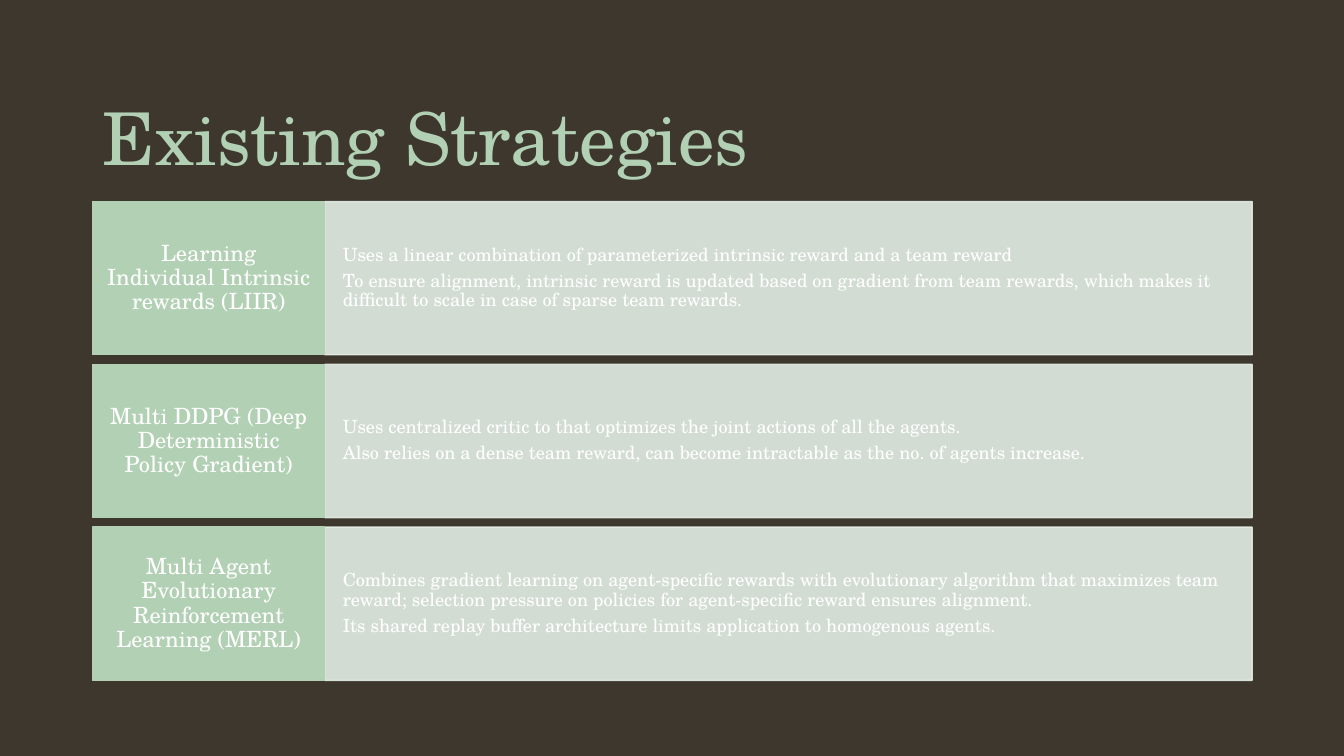
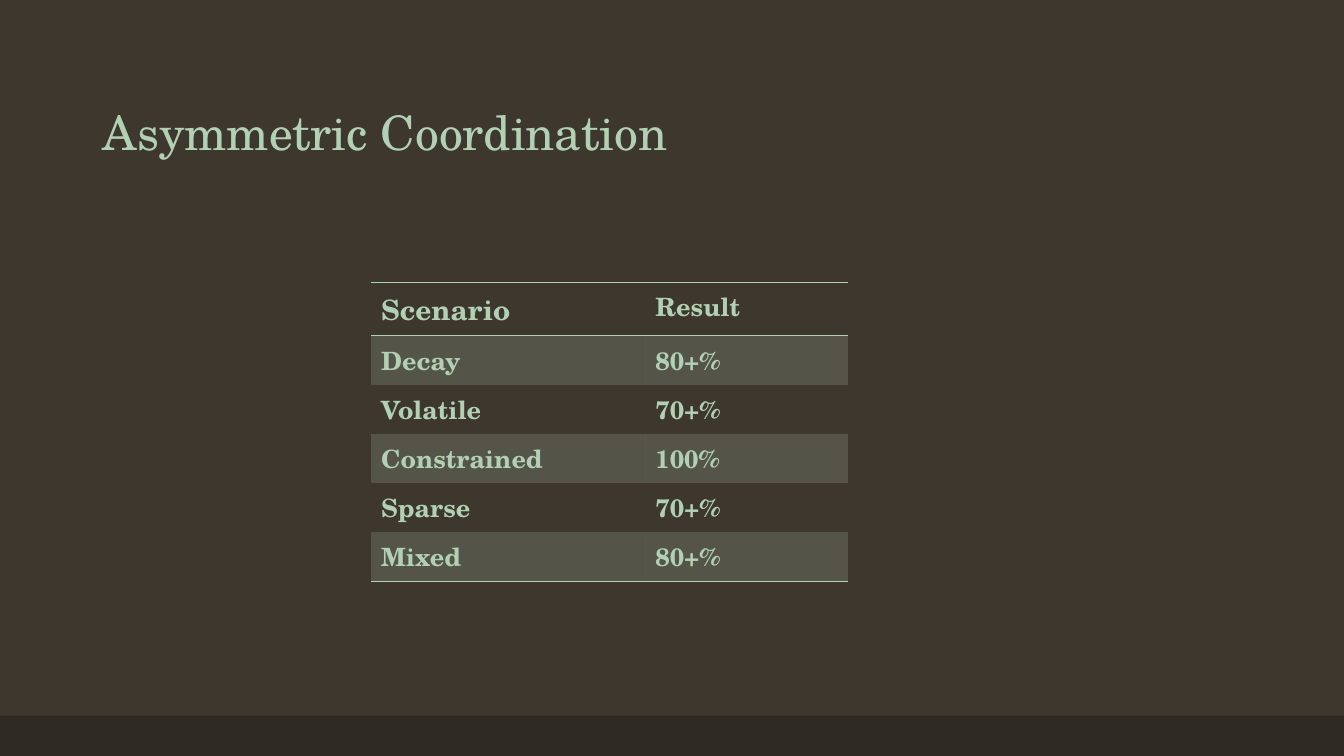
"""Build two slides on multi-agent strategies and coordination results."""
from dataclasses import dataclass

import pptx
import pptx.dml.color
import pptx.enum.shapes
import pptx.enum.text
import pptx.oxml
import pptx.oxml.ns
import pptx.slide
import pptx.util
from lxml import etree
from pptx.util import Inches

FONT = "TeX Gyre Schola"
COLORS = {
    "background": "3D372E",
    "band": "2E2923",
    "accent": "B2D0B4",
    "panel": "E4EEE5",
    "text": "FFFFFF",
}
LEFT = 0.92
ROW_TOP, ROW_PITCH, ROW_HEIGHT = 2.0, 1.615, 1.52
LABEL_WIDTH, PANEL_WIDTH = 2.3, 9.2
PLAIN_TABLE_STYLE = "{2D5ABB26-0587-4C30-8999-92F81FD0307C}"
ALIGN = pptx.enum.text.PP_ALIGN
ANCHOR = pptx.enum.text.MSO_ANCHOR


@dataclass(frozen=True)
class Strategy:
    name: str
    points: tuple[str, ...]


@dataclass(frozen=True)
class Result:
    scenario: str
    rate: str


@dataclass(frozen=True)
class BlockStyle:
    fill: str
    size: float
    align: ALIGN
    side_inset: float
    end_inset: float
    opacity: int = 100


LABEL = BlockStyle("accent", 16, ALIGN.CENTER, 0.12, 0.15)
PANEL = BlockStyle("panel", 13, ALIGN.LEFT, 0.18, 0.39, 90)

STRATEGIES = (
    Strategy("Learning Individual Intrinsic rewards (LIIR)", (
        "Uses a linear combination of parameterized intrinsic reward and a team reward",
        "To ensure alignment, intrinsic reward is updated based on gradient from team "
        "rewards, which makes it difficult to scale in case of sparse team rewards.",
    )),
    Strategy("Multi DDPG (Deep Deterministic Policy Gradient)", (
        "Uses centralized critic to that optimizes the joint actions of all the agents.",
        "Also relies on a dense team reward, can become intractable as the no. of agents "
        "increase.",
    )),
    Strategy("Multi Agent Evolutionary Reinforcement Learning (MERL)", (
        "Combines gradient learning on agent-specific rewards with evolutionary algorithm "
        "that maximizes team reward; selection pressure on policies for agent-specific "
        "reward ensures alignment.",
        "Its shared replay buffer architecture limits application to homogenous agents.",
    )),
)
RESULTS = (
    Result("Scenario", "Result"),
    Result("Decay", "80+%"),
    Result("Volatile", "70+%"),
    Result("Constrained", "100%"),
    Result("Sparse", "70+%"),
    Result("Mixed", "80+%"),
)


def color(name: str) -> pptx.dml.color.RGBColor:
    return pptx.dml.color.RGBColor.from_string(COLORS[name])


def format_runs(para, size: float, name: str, bold: bool = False) -> None:
    for span in para.runs:
        span.font.name = FONT
        span.font.size = pptx.util.Pt(size)
        span.font.bold = bold
        span.font.color.rgb = color(name)


def set_opacity(element, percent: int) -> None:
    for node in element.iter(pptx.oxml.ns.qn("a:srgbClr")):
        alpha = etree.SubElement(node, pptx.oxml.ns.qn("a:alpha"))
        alpha.set("val", str(percent * 1000))


def add_page(deck, title: str, top: float, size: float) -> pptx.slide.Slide:
    page = deck.slides.add_slide(deck.slide_layouts.get_by_name("Title Only"))
    box = page.shapes.title
    box.left, box.top = Inches(LEFT), Inches(top)
    box.width, box.height = Inches(11.5), Inches(1.25)
    frame = box.text_frame
    frame.text = title
    frame.word_wrap = True
    frame.auto_size = pptx.enum.text.MSO_AUTO_SIZE.NONE
    frame.vertical_anchor = ANCHOR.BOTTOM
    para = frame.paragraphs[0]
    para.alignment = ALIGN.LEFT
    para.line_spacing = 0.9
    format_runs(para, size, "accent")
    return page


def add_rectangle(page: pptx.slide.Slide, left: float, top: float,
                  width: float, height: float, fill: str):
    box = page.shapes.add_shape(
        pptx.enum.shapes.MSO_SHAPE.RECTANGLE,
        Inches(left), Inches(top), Inches(width), Inches(height),
    )
    box.shadow.inherit = False
    box.fill.solid()
    box.fill.fore_color.rgb = color(fill)
    box.line.fill.background()
    return box


def add_block(page: pptx.slide.Slide, left: float, top: float, width: float,
              lines: tuple[str, ...], style: BlockStyle) -> None:
    box = add_rectangle(page, left, top, width, ROW_HEIGHT, style.fill)
    box.line.color.rgb = color(style.fill)
    box.line.width = pptx.util.Pt(1)
    if style.opacity < 100:
        set_opacity(box.element.spPr, style.opacity)
    frame = box.text_frame
    frame.text = "\n".join(lines)
    frame.word_wrap = True
    frame.vertical_anchor = ANCHOR.MIDDLE
    frame.margin_left = frame.margin_right = Inches(style.side_inset)
    frame.margin_top = frame.margin_bottom = Inches(style.end_inset)
    for para in frame.paragraphs:
        para.alignment = style.align
        para.line_spacing = 0.9
        para.space_after = pptx.util.Pt(round(style.size * 0.35, 1))
        format_runs(para, style.size, "text")


def add_border(cell, side: str) -> None:
    cell._tc.get_or_add_tcPr().append(pptx.oxml.parse_xml(
        f'<a:{side} {pptx.oxml.ns.nsdecls("a")} w="12700"><a:solidFill>'
        f'<a:srgbClr val="{COLORS["accent"]}"/></a:solidFill></a:{side}>'
    ))


def add_results(page: pptx.slide.Slide) -> None:
    holder = page.shapes.add_table(
        len(RESULTS), 2, Inches(3.68), Inches(2.8), Inches(4.73), Inches(2.46))
    table = holder.table
    table.first_row = table.horz_banding = False
    holder.element.find(
        f".//{pptx.oxml.ns.qn('a:tableStyleId')}").text = PLAIN_TABLE_STYLE
    for column, width in zip(table.columns, (2.72, 2.01)):
        column.width = Inches(width)
    for index, result in enumerate(RESULTS):
        for column, text in enumerate((result.scenario, result.rate)):
            cell = table.cell(index, column)
            cell.text = text
            size = 20 if (index, column) == (0, 0) else 18
            format_runs(cell.text_frame.paragraphs[0], size, "accent", bold=True)
            if index == 0:
                add_border(cell, "lnT")
            if index in (0, len(RESULTS) - 1):
                add_border(cell, "lnB")
            if index % 2:
                cell.fill.solid()
                cell.fill.fore_color.rgb = color("accent")
                set_opacity(cell._tc.tcPr.find(pptx.oxml.ns.qn("a:solidFill")), 20)
            else:
                cell.fill.background()


def build_strategies(deck) -> None:
    page = add_page(deck, "Existing Strategies", 0.6, 52)
    for index, strategy in enumerate(STRATEGIES):
        top = ROW_TOP + index * ROW_PITCH
        add_block(page, LEFT + LABEL_WIDTH, top, PANEL_WIDTH, strategy.points, PANEL)
        add_block(page, LEFT, top, LABEL_WIDTH, (strategy.name,), LABEL)


def build_coordination(deck) -> None:
    page = add_page(deck, "Asymmetric Coordination", 0.4, 34)
    add_rectangle(page, 0, 7.1, 13.33, 0.4, "band")
    add_results(page)


def main() -> None:
    deck = pptx.Presentation()
    deck.slide_width, deck.slide_height = Inches(13.33), Inches(7.5)
    backdrop = deck.slide_master.background.fill
    backdrop.solid()
    backdrop.fore_color.rgb = color("background")
    build_strategies(deck)
    build_coordination(deck)
    deck.save("out.pptx")


if __name__ == "__main__":
    main()
